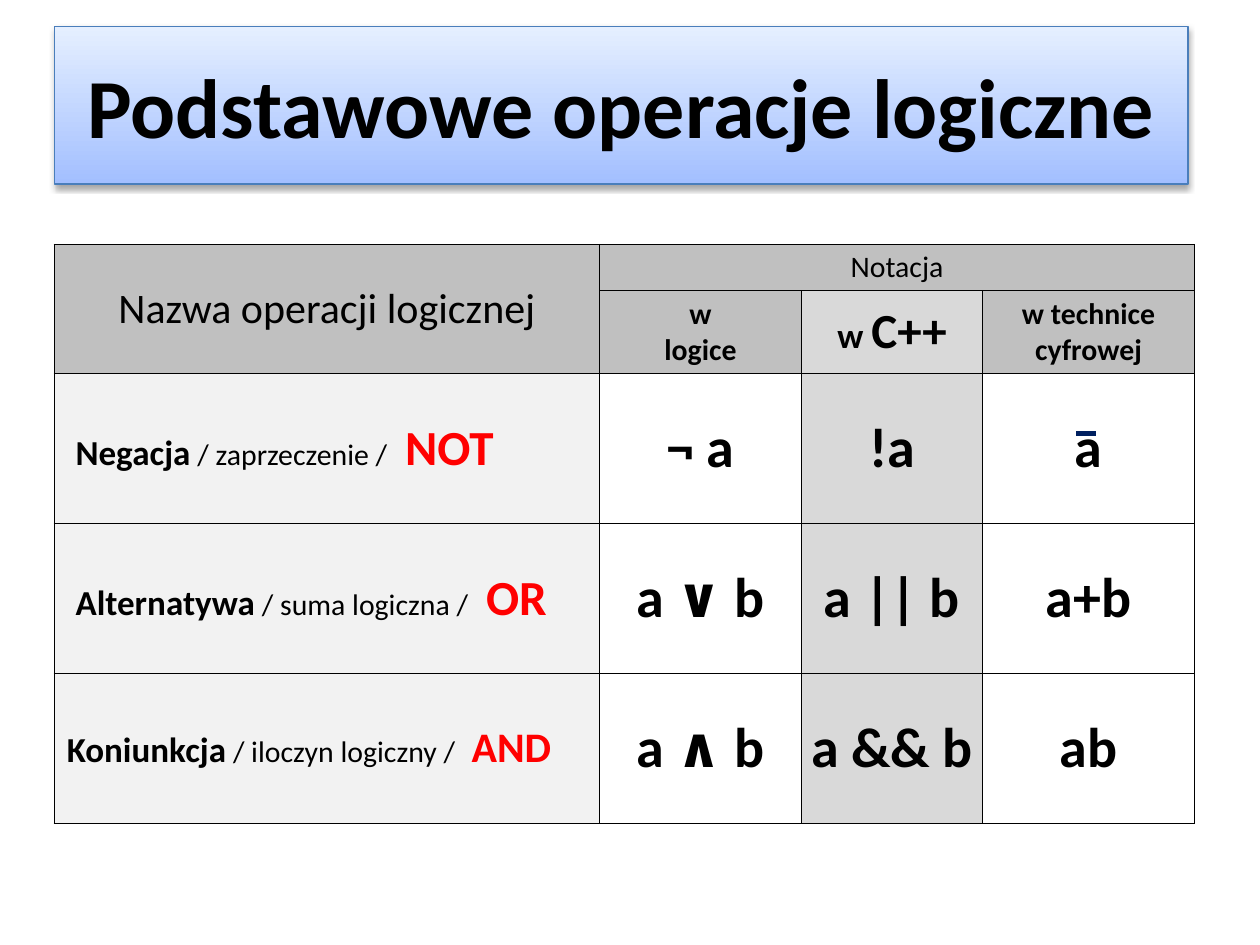
from lxml import etree
from pptx import Presentation
from pptx import util as u
from pptx.dml.color import RGBColor
from pptx.enum import shapes, text
from pptx.oxml import parse_xml
from pptx.oxml.ns import nsdecls, qn

HEAD, CPP_HEAD, NAME = "C0C0C0", "D9D9D9", "F2F2F2"
COLS = [4.33, 1.6, 1.44, 1.68]
ROWS = [0.36, 0.64, 1.19, 1.19, 1.19]
OPERATIONS = [
    ("Negacja", "zaprzeczenie", "NOT", 28, 0.17, ("¬ a", "!a", "a")),
    ("Alternatywa", "suma logiczna", "OR", 28, 0.17, ("a ∨ b", "a || b", "a+b")),
    ("Koniunkcja", "iloczyn logiczny", "AND", 24, 0.1, ("a ∧ b", "a && b", "ab")),
]


def rgb(value):
    """Turn a hex string into a colour."""
    return RGBColor.from_string(value)


def set_attrs(obj, **values):
    """Set several attributes of one object."""
    for name, value in values.items():
        setattr(obj, name, value)


def add_run(p, words, size, bold=True, color="000000"):
    """Add formatted text to a paragraph, breaking it at newlines."""
    for i, line in enumerate(words.split("\n")):
        if i:
            p.add_line_break()
        r = p.add_run()
        r.text = line
        set_attrs(r.font, name="Calibri", size=u.Pt(size), bold=bold)
        r.font.color.rgb = rgb(color)


def add_title(s, words, left, top, width, height):
    """Format the title as a gradient banner with a soft shadow."""
    sp = s.shapes.title
    set_attrs(sp, left=u.Inches(left), top=u.Inches(top),
              width=u.Inches(width), height=u.Inches(height))
    sp.fill.gradient()
    sp.fill.gradient_angle = 270
    for stop, color in zip(sp.fill.gradient_stops, ("E5EFFF", "A3BFFF")):
        stop.color.rgb = rgb(color)
    sp.line.color.rgb = rgb("4A7EBB")
    sp.line.width = u.Pt(0.75)
    sp._element.spPr.append(parse_xml(
        f'<a:effectLst {nsdecls("a")}><a:outerShdw blurRad="40000" dist="23000" '
        'dir="5400000" rotWithShape="0"><a:srgbClr val="000000">'
        '<a:alpha val="35000"/></a:srgbClr></a:outerShdw></a:effectLst>'))
    tf = sp.text_frame
    set_attrs(tf, word_wrap=True, vertical_anchor=text.MSO_ANCHOR.MIDDLE,
              auto_size=text.MSO_AUTO_SIZE.NONE)
    p = tf.paragraphs[0]
    p.alignment = text.PP_ALIGN.CENTER
    add_run(p, words, 48)


def format_cell(cell):
    """Give a cell narrow margins, thin black borders and no fill."""
    margin = u.Inches(0.04)
    set_attrs(cell, margin_left=margin, margin_right=margin, margin_top=margin,
              margin_bottom=margin, vertical_anchor=text.MSO_ANCHOR.MIDDLE)
    tc_pr = cell._tc.get_or_add_tcPr()
    for side in "LRTB":
        tc_pr.append(parse_xml(
            f'<a:ln{side} {nsdecls("a")} w="9525"><a:solidFill>'
            f'<a:srgbClr val="000000"/></a:solidFill></a:ln{side}>'))
    cell.fill.background()
    cell.text_frame.paragraphs[0].font.size = u.Pt(12)


def fill_cell(cell, runs, fill=None, left=None):
    """Write runs into a cell, centred unless a left margin is given."""
    if fill:
        cell.fill.solid()
        cell.fill.fore_color.rgb = rgb(fill)
    p = cell.text_frame.paragraphs[0]
    if left is None:
        p.alignment = text.PP_ALIGN.CENTER
    else:
        p.alignment = text.PP_ALIGN.LEFT
        cell.margin_left = u.Inches(left)
    for run in runs:
        add_run(p, *run)


def add_operations_table(s, left, top):
    """Build the table of operations and mark the negated letter."""
    table = s.shapes.add_table(
        len(ROWS), len(COLS), u.Inches(left), u.Inches(top),
        u.Inches(sum(COLS)), u.Inches(sum(ROWS))).table
    set_attrs(table, first_row=False, horz_banding=False)
    for column, width in zip(table.columns, COLS):
        column.width = u.Inches(width)
    for row, height in zip(table.rows, ROWS):
        row.height = u.Inches(height)
    for cell in table.iter_cells():
        format_cell(cell)
    table.cell(0, 0).merge(table.cell(1, 0))
    table.cell(0, 1).merge(table.cell(0, 3))

    fill_cell(table.cell(0, 0), [("Nazwa operacji logicznej", 24, False)], HEAD)
    fill_cell(table.cell(0, 1), [("Notacja", 17, False)], HEAD)
    fill_cell(table.cell(1, 1), [("w\nlogice", 17)], HEAD)
    fill_cell(table.cell(1, 2), [("w ", 20), ("C++", 28)], CPP_HEAD)
    fill_cell(table.cell(1, 3), [("w technice\ncyfrowej", 17)], HEAD)
    for i, (name, meaning, gate, size, margin, notations) in enumerate(OPERATIONS, 2):
        runs = [(name, 20), (f" / {meaning} / ", 17, False),
                (f" {gate}", size, True, "FF0000")]
        fill_cell(table.cell(i, 0), runs, NAME, margin)
        for j, notation in enumerate(notations, 1):
            fill_cell(table.cell(i, j), [(notation, 32)], CPP_HEAD if j == 2 else None)

    x, y = left + 8.11, top + 1.5
    bar = s.shapes.add_connector(
        shapes.MSO_CONNECTOR.STRAIGHT, u.Inches(x), u.Inches(y),
        u.Inches(x + 0.16), u.Inches(y))
    bar.line.color.rgb = rgb("002060")
    bar.line.width = u.Pt(3)
    etree.SubElement(bar._element.spPr, qn("a:effectLst"))


def main():
    """Build and save the slide."""
    prs = Presentation()
    set_attrs(prs, slide_width=u.Inches(10), slide_height=u.Inches(7.5))
    s = prs.slides.add_slide(prs.slide_layouts[5])
    add_title(s, "Podstawowe operacje logiczne", 0.43, 0.21, 9, 1.25)
    add_operations_table(s, 0.43, 1.94)
    prs.save("out.pptx")


if __name__ == "__main__":
    main()
